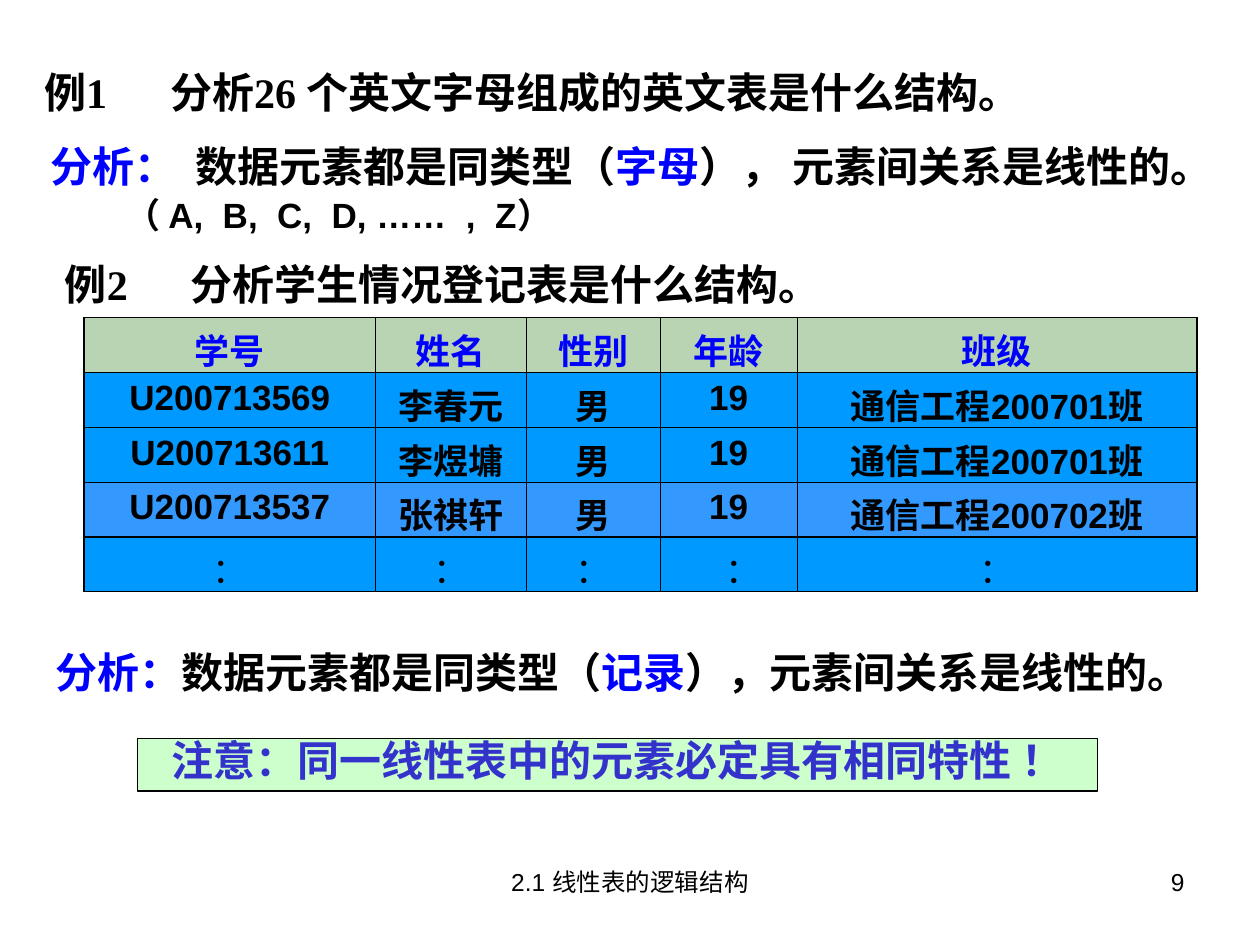
from dataclasses import dataclass

from lxml.etree import SubElement
from pptx import Presentation
from pptx.dml.color import RGBColor
from pptx.enum.shapes import MSO_SHAPE
from pptx.enum.text import MSO_ANCHOR as Anchor, MSO_AUTO_SIZE as AutoSize, PP_ALIGN as Align
from pptx.oxml.ns import qn
from pptx.util import Pt


@dataclass(frozen=True)
class Theme:
    black: str = "000000"
    blue: str = "0000FF"
    note_text: str = "3333CC"
    note_fill: str = "CCFFCC"
    header_fill: str = "B8D4B2"
    row_fill: str = "0099FF"
    accent_row_fill: str = "3399FF"
    serif: str = "Times New Roman"
    sans: str = "Arial"
    chinese: str = "Noto Sans CJK SC"
    statement_size: float = 24
    table_size: float = 20
    footer_size: float = 14
    thin: float = 0.45
    thick: float = 1.08


THEME = Theme()
HEADERS = ["学号", "姓名", "性别", "年龄", "班级"]
STUDENTS = [
    ["U200713569", "李春元", "男", "19", "通信工程200701班"],
    ["U200713611", "李煜墉", "男", "19", "通信工程200701班"],
    ["U200713537", "张祺轩", "男", "19", "通信工程200702班"],
]
COLUMN_WIDTHS = [166.3, 86.4, 76.3, 78.5, 228.2]


def add_run(paragraph, text, color=THEME.black, size=THEME.statement_size,
            font=THEME.serif, bold=True):
    run = paragraph.add_run()
    run.text = text
    run.font.size = Pt(size)
    run.font.bold = bold
    run.font.color.rgb = RGBColor.from_string(color)
    run.font.name = font
    SubElement(run.font._element, qn("a:ea"), typeface=THEME.chinese)


def add_tab_stop(paragraph, position):
    tabs = SubElement(paragraph._p.get_or_add_pPr(), qn("a:tabLst"))
    SubElement(tabs, qn("a:tab"), pos=str(Pt(position)), algn="l")


def place(shape, box):
    shape.left, shape.top, shape.width, shape.height = map(Pt, box)


def write_line(shape, runs, align=Align.LEFT, wrap=True, grow=True, spacing=None, tab=None):
    """Write one paragraph of (text, options) runs in a shape."""
    frame = shape.text_frame
    frame.word_wrap = wrap
    frame.vertical_anchor = Anchor.TOP
    frame.auto_size = AutoSize.SHAPE_TO_FIT_TEXT if grow else AutoSize.NONE
    paragraph = frame.paragraphs[0]
    paragraph.alignment = align
    if spacing:
        paragraph.line_spacing = spacing
    if tab:
        add_tab_stop(paragraph, tab)
    for text, options in runs:
        add_run(paragraph, text, **options)


def add_line(slide, box, runs, **layout):
    write_line(slide.shapes.add_textbox(*map(Pt, box)), runs, **layout)


def add_title(slide, box):
    title = slide.shapes.title
    place(title, box)
    write_line(title, [("例1\t分析26 个英文字母组成的英文表是什么结构。", {})],
               wrap=False, grow=False, tab=72)


def add_analysis(slide, box, lead, kind, ending, **layout):
    blue = {"color": THEME.blue}
    add_line(slide, box, [(lead, blue), ("数据元素都是同类型（", {}),
                          (kind, blue), (ending, {})], **layout)


def set_borders(cell, widths):
    properties = cell._tc.get_or_add_tcPr()
    for index, (side, width) in enumerate(zip("LRTB", widths)):
        line = properties.makeelement(qn(f"a:ln{side}"), {"w": str(Pt(width))})
        fill = SubElement(line, qn("a:solidFill"))
        SubElement(fill, qn("a:srgbClr"), val=THEME.black)
        properties.insert(index, line)


def fill_cell(cell, text, fill, **font):
    cell.fill.solid()
    cell.fill.fore_color.rgb = RGBColor.from_string(fill)
    paragraph = cell.text_frame.paragraphs[0]
    paragraph.alignment = Align.CENTER
    add_run(paragraph, text, size=THEME.table_size, **font)


def add_student_table(slide, box):
    rows = [HEADERS, *STUDENTS, ["："] * len(HEADERS)]
    last_row, last_column = len(rows) - 1, len(HEADERS) - 1
    table = slide.shapes.add_table(len(rows), len(HEADERS), *map(Pt, box)).table
    table.first_row = table.horz_banding = False
    for column, width in zip(table.columns, COLUMN_WIDTHS):
        column.width = Pt(width)
    fills = [THEME.header_fill, THEME.row_fill, THEME.row_fill,
             THEME.accent_row_fill, THEME.row_fill]
    fonts = [{"font": THEME.chinese, "color": THEME.blue}]
    fonts += [{"font": THEME.sans}] * len(STUDENTS)
    fonts += [{"font": THEME.chinese, "bold": False}]
    for r, texts in enumerate(rows):
        table.rows[r].height = Pt(box[3] / len(rows))
        for c, text in enumerate(texts):
            cell = table.cell(r, c)
            cell.vertical_anchor = Anchor.MIDDLE if r == 0 else Anchor.TOP
            fill_cell(cell, text, fills[r], **fonts[r])
            heavy = (c == 0, c == last_column, r in (0, last_row),
                     r == last_row - 1 or (r == last_row and c > 0))
            set_borders(cell, [THEME.thick if h else THEME.thin for h in heavy])
    table.cell(last_row, HEADERS.index("年龄")).margin_left = Pt(24)


def add_note(slide, box):
    note = slide.shapes.add_shape(MSO_SHAPE.RECTANGLE, *map(Pt, box))
    note.shadow.inherit = False
    note.fill.solid()
    note.fill.fore_color.rgb = RGBColor.from_string(THEME.note_fill)
    note.line.color.rgb = RGBColor.from_string(THEME.black)
    note.line.width = Pt(0.75)
    write_line(note, [("注意：同一线性表中的元素必定具有相同特性 ！", {"color": THEME.note_text})],
               align=Align.CENTER, spacing=0.8)


def add_footer(slide, box, text, align):
    style = {"size": THEME.footer_size, "font": THEME.sans, "bold": False}
    add_line(slide, box, [(text, style)], align=align, grow=False)


def main():
    presentation = Presentation()
    presentation.slide_width, presentation.slide_height = Pt(720), Pt(540)
    slide = presentation.slides.add_slide(presentation.slide_layouts[5])

    add_title(slide, (18, 34.5, 583, 36))
    add_analysis(slide, (21.6, 77, 690, 36), "分析：\t", "字母",
                 "）， 元素间关系是线性的。", tab=83)
    add_line(slide, (64.5, 111.6, 528, 30),
             [("（ A,  B,  C,  D, ……  ,  Z）", {"size": THEME.table_size, "font": THEME.sans})],
             grow=False, spacing=0.8)
    add_line(slide, (30, 144, 581, 36),
             [("例2\t分析学生情况登记表是什么结构。", {})], tab=72)
    add_student_table(slide, (48.2, 181.5, sum(COLUMN_WIDTHS), 156.5))
    add_analysis(slide, (24.5, 371.5, 662.4, 30), "分析：", "记录",
                 "），元素间关系是线性的。", align=Align.CENTER, wrap=False, spacing=0.8)
    add_note(slide, (78.5, 422, 548.6, 30))
    add_footer(slide, (246, 492, 228, 37.5), "2.1 线性表的逻辑结构", Align.CENTER)
    add_footer(slide, (516, 492, 168, 37.5), "9", Align.RIGHT)

    presentation.save("out.pptx")


if __name__ == "__main__":
    main()
